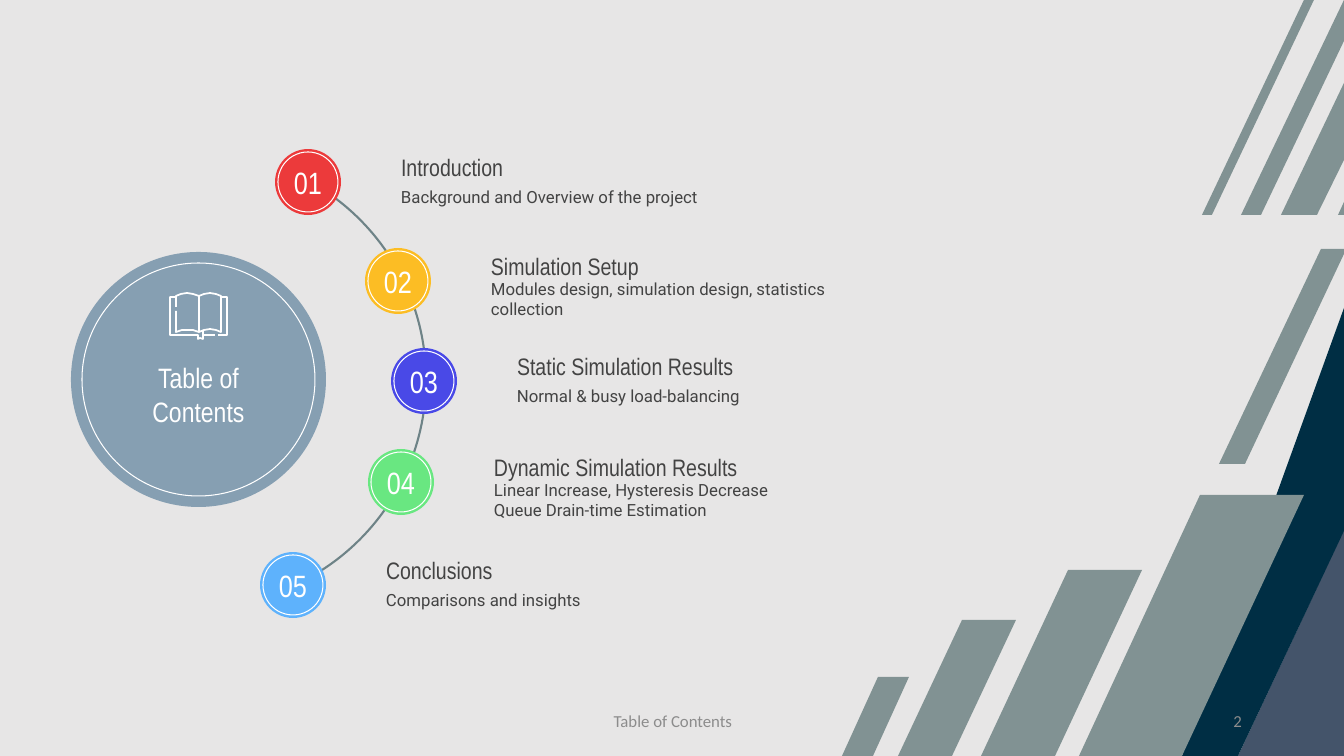
from pptx import Presentation
from pptx.dml.color import RGBColor
from pptx.enum.shapes import MSO_SHAPE as Shape
from pptx.enum.text import MSO_ANCHOR as Anchor, PP_ALIGN as Align
from pptx.util import Pt

PX = 914400 / 100.8
SAGE = RGBColor(0x81, 0x92, 0x93)
SLATE = RGBColor(0x44, 0x54, 0x6A)
NAVY = RGBColor(0x00, 0x2E, 0x44)
PALE = RGBColor(0xE7, 0xE6, 0xE6)
STEEL = RGBColor(0x86, 0x9F, 0xB2)
CURVE = RGBColor(0x6E, 0x83, 0x87)
WHITE = RGBColor(0xFF, 0xFF, 0xFF)
DARK = RGBColor(0x43, 0x43, 0x43)
GREY = RGBColor(0x8C, 0x8C, 0x8C)
RED = RGBColor(0xEC, 0x3A, 0x3B)
GOLD = RGBColor(0xFC, 0xBD, 0x24)
BLUE = RGBColor(0x49, 0x49, 0xE7)
GREEN = RGBColor(0x69, 0xE7, 0x81)
SKY = RGBColor(0x5E, 0xB2, 0xFC)


def paint(shape, fill=None, line=None, width=0.75):
    shape.shadow.inherit = False
    if fill is None:
        shape.fill.background()
    else:
        shape.fill.solid()
        shape.fill.fore_color.rgb = fill
    if line is None:
        shape.line.fill.background()
    else:
        shape.line.color.rgb = line
        shape.line.width = Pt(width)


def write(shape, text, size, face, color, align=Align.LEFT, wrap=True):
    frame = shape.text_frame
    frame.text = text
    frame.word_wrap = wrap
    frame.vertical_anchor = Anchor.MIDDLE
    frame.margin_left = frame.margin_right = round(10 * PX)
    frame.margin_top = frame.margin_bottom = round(10 * PX)
    for para in frame.paragraphs:
        para.alignment = align
        for run in para.runs:
            run.font.size = Pt(size)
            run.font.name = face
            run.font.color.rgb = color


prs = Presentation()
prs.slide_width, prs.slide_height = round(1344 * PX), round(756 * PX)
slide = prs.slides.add_slide(prs.slide_layouts[6])
slide.background.fill.solid()
slide.background.fill.fore_color.rgb = PALE
shapes = slide.shapes

bands = [
    (SAGE, [(1055, 756), (981, 756), (1068, 570), (1142, 570)]),
    (SAGE, [(952, 756), (898, 756), (962, 620), (1016, 620)]),
    (SAGE, [(873, 756), (842, 756), (878, 677), (909, 677)]),
    (SLATE, [(1238, 756), (1344, 756), (1344, 530)]),
    (NAVY, [(1182, 756), (1238, 756), (1344, 531), (1344, 308)]),
    (SAGE, [(1321, 249), (1219, 464), (1245, 464), (1344, 254), (1344, 249)]),
    (SAGE, [(1202, 215), (1212, 215), (1314, 0), (1304, 0)]),
    (SAGE, [(1338, 215), (1344, 215), (1344, 202)]),
    (SAGE, [(1281, 215), (1317, 215), (1344, 160), (1344, 83)]),
    (SAGE, [(1344, 0), (1241, 215), (1261, 215), (1344, 41)]),
    (SAGE, [(1182, 756), (1079, 756), (1200, 495), (1304, 495)]),
]
for color, pts in bands:
    path = shapes.build_freeform(*pts[0], scale=PX)
    path.add_line_segments(pts[1:], close=True)
    paint(path.convert_to_shape(), color)

feet = [
    (446, 454, "Table of Contents", Align.CENTER),
    (950, 302, "2", Align.RIGHT),
]
for left, wide, text, align in feet:
    box = shapes.add_textbox(*[round(v * PX) for v in (left, 701, wide, 40)])
    write(box, text, 12, "Calibri", GREY, align)

arc = shapes.add_shape(Shape.ARC, *[round(v * PX) for v in (-27, 153, 453, 453)])
arc.adjustments[0] = 178.138
arc.adjustments[1] = 38.458
paint(arc, line=CURVE, width=1.5)

disc = shapes.add_shape(Shape.OVAL, *[round(v * PX) for v in (71, 252, 255, 255)])
paint(disc, STEEL)
ring = shapes.add_shape(Shape.OVAL, *[round(v * PX) for v in (82, 263, 233, 233)])
paint(ring, line=WHITE)
write(ring, "Table of\vContents", 20, "Arial Narrow", WHITE, Align.CENTER, False)
ring.text_frame.margin_top = round(40 * PX)

book = [
    [(199, 331), (199, 296), (193, 294), (187, 293), (181, 294), (176, 296), (176, 307)],
    [(176, 311), (176, 332), (182, 330), (187, 330), (193, 330), (199, 332),
     (204, 330), (210, 329), (216, 330), (221, 332), (221, 296), (216, 294),
     (210, 293), (204, 294), (199, 296)],
    [(175, 297), (170, 297), (170, 335), (198, 335), (198, 339), (200, 338),
     (203, 339), (203, 331)],
    [(203, 335), (215, 335)],
    [(218, 335), (227, 335), (227, 297), (222, 297)],
]
for pts in book:
    path = shapes.build_freeform(*pts[0], scale=PX)
    path.add_line_segments(pts[1:], close=False)
    paint(path.convert_to_shape(), line=WHITE, width=1.25)

topics = [
    (275, 149, RED, "Introduction", "Background and Overview of the project", 28),
    (365, 248, GOLD, "Simulation Setup",
     "Modules design, simulation design, statistics collection", 31),
    (391, 348, BLUE, "Static Simulation Results", "Normal & busy load-balancing", 28),
    (368, 449, GREEN, "Dynamic Simulation Results",
     "Linear Increase, Hysteresis Decrease\nQueue Drain-time Estimation", 31),
    (260, 552, SKY, "Conclusions", "Comparisons and insights", 28),
]
for num, (left, top, color, title, note, drop) in enumerate(topics, 1):
    dot = shapes.add_shape(Shape.OVAL, *[round(v * PX) for v in (left, top, 66, 66)])
    paint(dot, color)
    rim = shapes.add_shape(Shape.OVAL, *[round(v * PX) for v in (left + 3, top + 3, 60, 60)])
    paint(rim, line=WHITE)
    write(rim, f"{num:02}", 22, "Arial Narrow", WHITE, Align.CENTER, False)
    rows = [(-2, 313, title, 17, "Arial Narrow"), (drop, 424, note, 12, "Roboto")]
    for shift, wide, text, size, face in rows:
        box = shapes.add_textbox(*[round(v * PX) for v in (left + 116, top + shift, wide, 40)])
        write(box, text, size, face, DARK)

prs.save("out.pptx")
